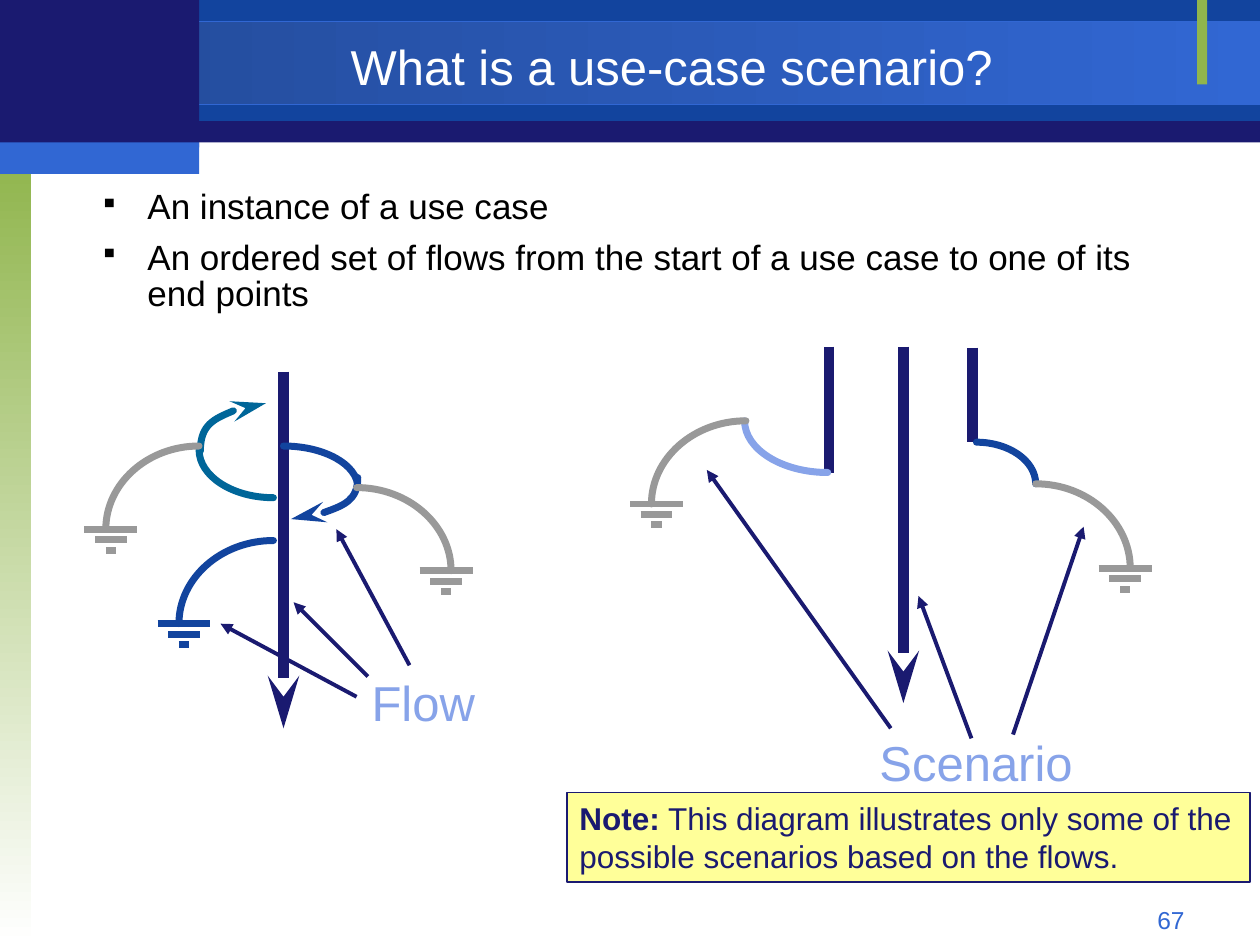
from lxml import etree
from pptx import Presentation
from pptx.dml.color import RGBColor
from pptx.enum.shapes import MSO_CONNECTOR, MSO_SHAPE
from pptx.enum.text import MSO_ANCHOR, MSO_AUTO_SIZE, PP_ALIGN
from pptx.oxml.ns import qn
from pptx.util import Inches, Pt

LINE, RECT = MSO_CONNECTOR.STRAIGHT, MSO_SHAPE.RECTANGLE
LEFT, MID, RIGHT = PP_ALIGN.LEFT, PP_ALIGN.CENTER, PP_ALIGN.RIGHT
TOP, MIDDLE = MSO_ANCHOR.TOP, MSO_ANCHOR.MIDDLE
FIT = MSO_AUTO_SIZE.SHAPE_TO_FIT_TEXT
HUES = {
    "navy": "1A1A70", "blue": "12449E", "sky": "3167D3", "deep": "234A97",
    "green": "90B54D", "white": "FFFFFF", "black": "000000", "pale": "87A3E9",
    "gray": "999999", "teal": "006699", "note": "FFFF99",
}
BEND = 0.55


def hue(name):
    return RGBColor.from_string(HUES[name])


def write(frame, paras, size=18, color="black", align=LEFT, anchor=TOP, inset=(0.1, 0.05),
          grow=False, bullet=None, gap=0, lead=None):
    frame.word_wrap = True
    frame.vertical_anchor = anchor
    frame.margin_left = frame.margin_right = Inches(inset[0])
    frame.margin_top = frame.margin_bottom = Inches(inset[1])
    if grow:
        frame.auto_size = FIT
    for i, runs in enumerate(paras):
        para = frame.add_paragraph() if i else frame.paragraphs[0]
        if bullet:
            props = para._p.get_or_add_pPr()
            props.set("marL", str(Inches(0.38)))
            props.set("indent", str(Inches(-0.38)))
            etree.SubElement(props, qn("a:buSzPct"), val="75000")
            etree.SubElement(props, qn("a:buChar"), char=bullet)
        para.alignment = align
        if i:
            para.space_before = Pt(gap)
        if lead:
            para.line_spacing = lead
        for words, bold in runs:
            run = para.add_run()
            run.text = words
            font = run.font
            font.name, font.size, font.bold = "Arial", Pt(size), bold
            font.color.rgb = hue(color)


class Deck:
    def __init__(self):
        self.show = Presentation()
        self.show.slide_width, self.show.slide_height = Inches(10), Inches(7.5)
        self.slide = self.show.slides.add_slide(self.show.slide_layouts[6])
        self.shapes = self.slide.shapes

    def rect(self, box, fill, edge=None, angle=0):
        shape = self.shapes.add_shape(RECT, *map(Inches, box))
        shape.shadow.inherit = False
        if isinstance(fill, tuple):
            shape.fill.gradient()
            shape.fill.gradient_angle = angle
            for stop, name in zip(shape.fill.gradient_stops, fill):
                stop.color.rgb = hue(name)
        else:
            shape.fill.solid()
            shape.fill.fore_color.rgb = hue(fill)
        if edge:
            self.pen(shape, edge, 0.75)
        else:
            shape.line.fill.background()
        return shape

    def pen(self, shape, color, width, head=None, tail=None):
        shape.line.color.rgb = hue(color)
        shape.line.width = Pt(width)
        ln = shape.line._get_or_add_ln()
        for tag, kind in (("a:headEnd", head), ("a:tailEnd", tail)):
            if kind:
                size = "lg" if kind == "stealth" else "med"
                etree.SubElement(ln, qn(tag), type=kind, w="med", len=size)
        return ln

    def line(self, ends, color="navy", width=6, tail=None):
        link = self.shapes.add_connector(LINE, *map(Inches, ends))
        self.pen(link, color, width, tail=tail)
        etree.SubElement(link._element.spPr, qn("a:effectLst"))

    def arc(self, flat, steep, color, head=None, tilt=0):
        (x, y), (u, v) = flat, steep
        form = self.shapes.build_freeform(Inches(x), Inches(y))
        form.add_line_segments([(Inches(u), Inches(v))], close=False)
        shape = form.convert_to_shape()
        shape.shadow.inherit = False
        shape.fill.background()
        self.pen(shape, color, 4, head=head).set("cap", "rnd")
        old = next(shape._element.iter(qn("a:lnTo")))
        curve = etree.Element(qn("a:cubicBezTo"))
        knots = ((x + BEND * (u - x), y + tilt * (v - y)), (u, v + BEND * (y - v)), (u, v))
        for a, b in knots:
            etree.SubElement(curve, qn("a:pt"), x=str(Inches(a) - shape.left),
                             y=str(Inches(b) - shape.top))
        old.getparent().replace(old, curve)

    def branch(self, flat, steep, color):
        self.arc(flat, steep, color)
        x, y = steep
        mid = x + (0.04 if flat[0] > x else -0.04)
        for i, half in enumerate((0.21, 0.125, 0.04)):
            level = y + i / 12
            self.line((mid - half, level, mid + half, level), color, 4)

    def text(self, box, *paras, **form):
        frame = self.shapes.add_textbox(*map(Inches, box)).text_frame
        write(frame, [[(words, False)] for words in paras], **form)

    def note(self, box, runs, **form):
        write(self.rect(box, "note", "navy").text_frame, [runs], **form)


def main():
    deck = Deck()
    deck.rect((0, 0.01, 10, 1.12), "navy")
    deck.rect((1.58, 0, 8.42, 0.96), "blue")
    deck.rect((0, 0.17, 10, 0.66), ("deep", "sky"), "sky")
    deck.rect((0, 1.25, 0.25, 6.25), ("green", "white"), angle=270)
    deck.rect((9.5, 0, 0.08, 0.67), "green")
    deck.rect((0, 0, 1.58, 1.17), "navy")
    deck.rect((0, 1.13, 1.58, 0.25), "sky")
    deck.text((1.58, 0.23, 7.5, 0.58), "What is a use-case scenario?",
              size=28, color="white", align=MID, anchor=MIDDLE)
    deck.text((0.67, 1.45, 8.75, 1.13), "An instance of a use case",
              "An ordered set of flows from the start of a use case to one of its end points",
              size=20, inset=(0.12, 0.06), grow=True, bullet="▪", gap=8, lead=0.87)

    deck.line((6.58, 2.75, 6.58, 3.75))
    deck.arc((6.57, 3.75), (5.91, 3.34), "pale")
    deck.branch((5.92, 3.34), (5.17, 4), "gray")
    deck.line((7.72, 2.76, 7.72, 3.51))
    deck.arc((7.75, 3.51), (8.22, 3.84), "blue")
    deck.branch((8.22, 3.84), (8.97, 4.51), "gray")
    deck.line((7.17, 2.75, 7.17, 5.58), tail="stealth")

    deck.line((2.25, 2.95, 2.25, 5.78), tail="stealth")
    deck.arc((2.25, 3.54), (2.84, 3.87), "blue")
    deck.arc((2.31, 4.12), (2.84, 3.79), "blue", "stealth", 0.06)
    deck.arc((2.17, 3.95), (1.58, 3.57), "teal")
    deck.arc((2.11, 3.2), (1.59, 3.58), "teal", "stealth", 0.06)
    deck.branch((2.83, 3.87), (3.58, 4.53), "gray")
    deck.branch((2.17, 4.29), (1.42, 4.95), "blue")
    deck.branch((1.58, 3.54), (0.84, 4.2), "gray")

    for ends in (
        (2.92, 5.37, 2.33, 4.78), (3.25, 5.28, 2.67, 4.2), (2.83, 5.53, 1.75, 4.95),
        (7.07, 5.78, 5.61, 3.73), (7.71, 5.86, 7.29, 4.73), (8.04, 5.83, 8.6, 4.18),
    ):
        deck.line(ends, width=2.25, tail="triangle")
    for box, word in (((2.83, 5.28, 1.2, 0.59), "Flow"),
                      ((6.86, 5.75, 1.95, 0.59), "Scenario")):
        deck.text(box, word, size=28, color="pale", inset=(0.12, 0.06), grow=True)

    deck.note((4.5, 6.29, 5.42, 0.71), [
        ("Note:", True),
        (" This diagram illustrates only some of the possible scenarios based on the flows.", False),
    ], color="navy", grow=True)
    deck.text((7.17, 7.13, 2.33, 0.27), "67", size=14, color="sky", align=RIGHT)
    deck.show.save("out.pptx")


if __name__ == "__main__":
    main()
